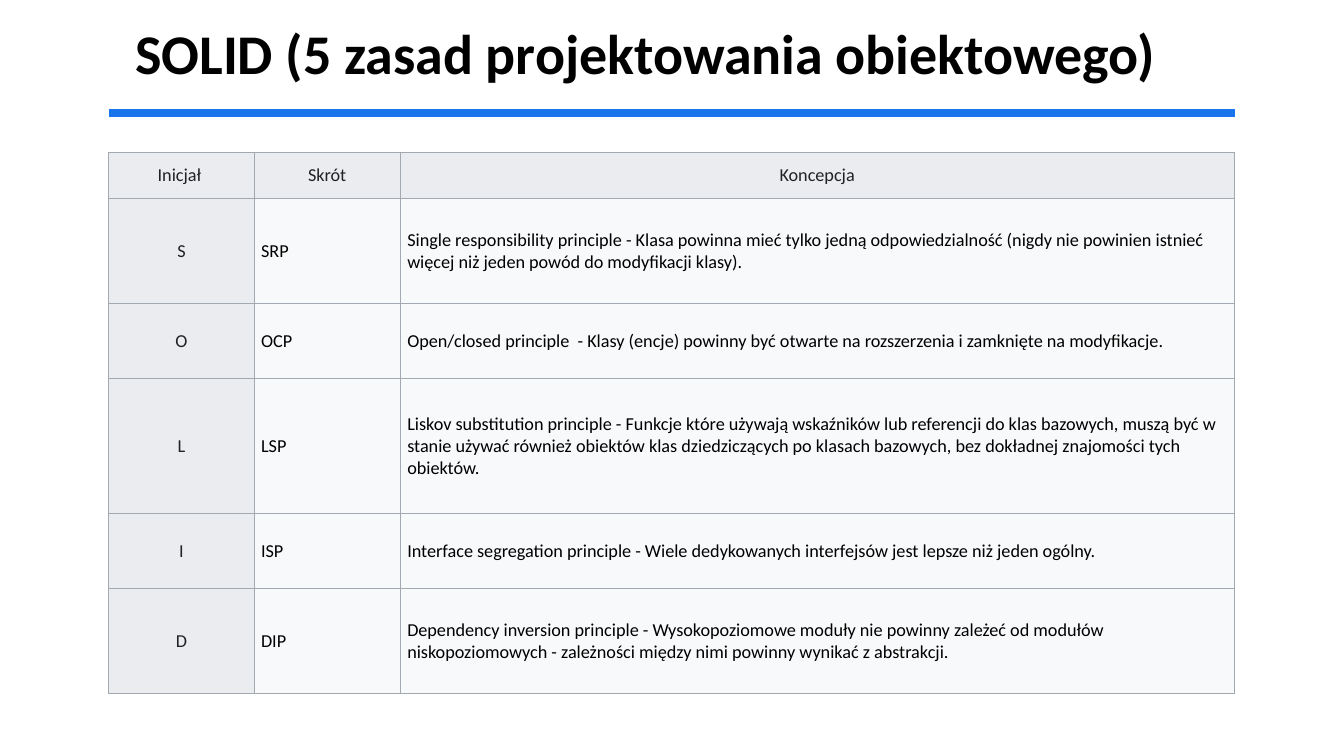
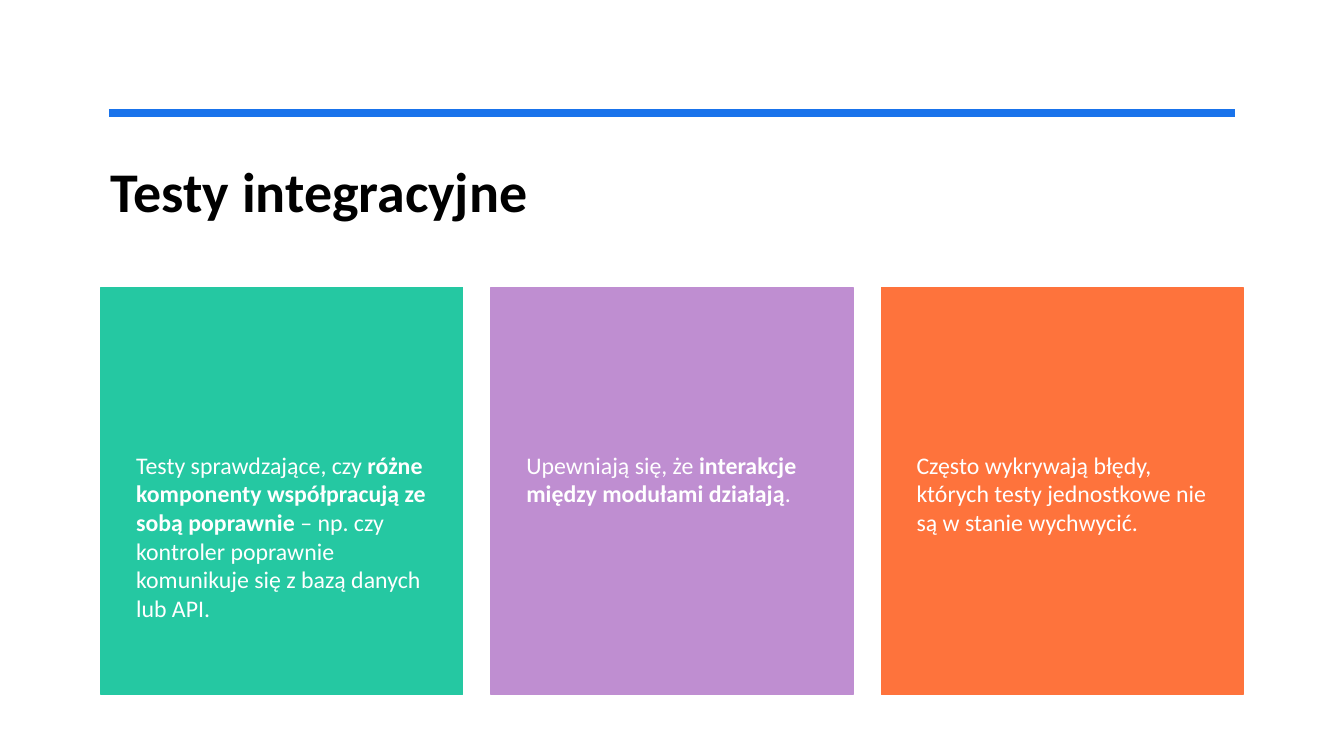
from dataclasses import dataclass, field
from typing import NamedTuple

from lxml.etree import SubElement
from pptx import Presentation
from pptx.dml.color import RGBColor
from pptx.enum.shapes import MSO_CONNECTOR, MSO_SHAPE
from pptx.enum.text import MSO_ANCHOR, PP_ALIGN
from pptx.oxml.ns import qn
from pptx.slide import Slide
from pptx.table import _Cell
from pptx.text.text import _Run
from pptx.util import Emu, Pt

PX = 9144  # EMU per px, 100 px to the inch


@dataclass(frozen=True)
class Theme:
    font: str = "Calibri"
    title_size: int = 40
    table_size: int = 13
    card_size: int = 17
    rule_width: int = 6
    ink: str = "000000"
    header_ink: str = "202122"
    card_ink: str = "FFFFFF"
    rule: str = "1973EB"
    header_fill: str = "EAECF0"
    body_fill: str = "F8F9FA"
    border: str = "A2A9B1"
    cards: tuple[str, ...] = field(default=("25C8A2", "BF8ED1", "FE733C"))


THEME = Theme()


class Box(NamedTuple):
    left: int
    top: int
    width: int
    height: int

    def emu(self) -> list[Emu]:
        return [px(length) for length in self]


class Principle(NamedTuple):
    initial: str
    acronym: str
    concept: str


class Card(NamedTuple):
    lead: str
    key: str = ""
    rest: str = ""


PRINCIPLES = [
    Principle("Inicjał ", "Skrót", "Koncepcja"),
    Principle("S", "SRP", "Single responsibility principle - Klasa powinna mieć tylko jedną odpowiedzialność "
              "(nigdy nie powinien istnieć więcej niż jeden powód do modyfikacji klasy)."),
    Principle("O", "OCP", "Open/closed principle  - Klasy (encje) powinny być otwarte na rozszerzenia "
              "i zamknięte na modyfikacje."),
    Principle("L", "LSP", "Liskov substitution principle - Funkcje które używają wskaźników lub referencji "
              "do klas bazowych, muszą być w stanie używać również obiektów klas dziedziczących "
              "po klasach bazowych, bez dokładnej znajomości tych obiektów."),
    Principle("I", "ISP", "Interface segregation principle - Wiele dedykowanych interfejsów jest lepsze "
              "niż jeden ogólny."),
    Principle("D", "DIP", "Dependency inversion principle - Wysokopoziomowe moduły nie powinny zależeć "
              "od modułów niskopoziomowych - zależności między nimi powinny wynikać z abstrakcji."),
]
COLUMN_WIDTHS = [144, 145, 827]
ROW_HEIGHTS = [46, 104, 75, 133, 75, 104]

CARDS = [
    Card("Testy sprawdzające, czy ", "różne komponenty współpracują ze sobą poprawnie",
         " – np. czy kontroler poprawnie komunikuje się z bazą danych lub API."),
    Card("Upewniają się, że ", "interakcje między modułami działają", "."),
    Card("Często wykrywają błędy, których testy jednostkowe nie są w stanie wychwycić."),
]
CARD_AREA = Box(100, 285, 1133, 404)
CARD_WIDTH = 359
CARD_TEXT_OFFSET = 162


def px(length: int) -> Emu:
    return Emu(length * PX)


def apply(target: object, values: dict[str, object]) -> None:
    for name, value in values.items():
        setattr(target, name, value)


def margins(left: int, top: int, right: int, bottom: int) -> dict[str, object]:
    return {"margin_left": px(left), "margin_top": px(top),
            "margin_right": px(right), "margin_bottom": px(bottom)}


def style_run(run: _Run, size: int, color: str, bold: bool = False) -> None:
    apply(run.font, {"name": THEME.font, "size": Pt(size), "bold": bold})
    run.font.color.rgb = RGBColor.from_string(color)


# Title and rule shared by the slides
def add_titled_slide(deck: Presentation, text: str, box: Box) -> Slide:
    slide = deck.slides.add_slide(deck.slide_layouts[5])
    title = slide.shapes.title
    apply(title, dict(zip(("left", "top", "width", "height"), box.emu())))
    apply(title.text_frame, {"vertical_anchor": MSO_ANCHOR.TOP, "word_wrap": True, **margins(10, 5, 10, 5)})
    heading = title.text_frame.paragraphs[0]
    heading.alignment = PP_ALIGN.LEFT
    run = heading.add_run()
    run.text = text
    style_run(run, THEME.title_size, THEME.ink, bold=True)

    rule = slide.shapes.add_connector(MSO_CONNECTOR.STRAIGHT, px(108), px(112), px(1225), px(112))
    rule.line.width = Pt(THEME.rule_width)
    rule.line.color.rgb = RGBColor.from_string(THEME.rule)
    SubElement(rule._element.spPr, qn("a:effectLst"))
    return slide


# Table of principles
def add_borders(cell: _Cell) -> None:
    properties = cell._tc.get_or_add_tcPr()
    for side in ("a:lnL", "a:lnR", "a:lnT", "a:lnB"):
        edge = SubElement(properties, qn(side), w=str(Pt(0.75)))
        SubElement(SubElement(edge, qn("a:solidFill")), qn("a:srgbClr"), val=THEME.border)


def fill_cell(cell: _Cell, text: str, is_header: bool) -> None:
    add_borders(cell)
    cell.fill.solid()
    cell.fill.fore_color.rgb = RGBColor.from_string(THEME.header_fill if is_header else THEME.body_fill)
    apply(cell, {"vertical_anchor": MSO_ANCHOR.MIDDLE, **margins(7, 4, 7, 4)})
    paragraph = cell.text_frame.paragraphs[0]
    paragraph.alignment = PP_ALIGN.CENTER if is_header else PP_ALIGN.LEFT
    run = paragraph.add_run()
    run.text = text
    style_run(run, THEME.table_size, THEME.header_ink if is_header else THEME.ink)


def add_principles(slide: Slide) -> None:
    area = Box(108, 151, sum(COLUMN_WIDTHS), sum(ROW_HEIGHTS))
    table = slide.shapes.add_table(len(ROW_HEIGHTS), len(COLUMN_WIDTHS), *area.emu()).table
    apply(table, {"first_row": False, "horz_banding": False})
    for column, width in zip(table.columns, COLUMN_WIDTHS):
        column.width = px(width)
    for row, height in zip(table.rows, ROW_HEIGHTS):
        row.height = px(height)
    for row_index, principle in enumerate(PRINCIPLES):
        for column_index, text in enumerate(principle):
            is_header = row_index == 0 or column_index == 0
            fill_cell(table.cell(row_index, column_index), text, is_header)


# Coloured cards in equal columns
def add_card(slide: Slide, card: Card, box: Box, color: str) -> None:
    group = slide.shapes.add_group_shape().shapes
    panel = group.add_shape(MSO_SHAPE.RECTANGLE, *box.emu())
    panel.shadow.inherit = False
    panel.fill.solid()
    panel.fill.fore_color.rgb = panel.line.color.rgb = RGBColor.from_string(color)
    panel.line.width = Pt(1)

    text_box = box._replace(top=box.top + CARD_TEXT_OFFSET, height=box.height - CARD_TEXT_OFFSET)
    frame = group.add_textbox(*text_box.emu()).text_frame
    apply(frame, {"word_wrap": True, "vertical_anchor": MSO_ANCHOR.TOP, **margins(35, 0, 35, 36)})
    for part, text in zip(card._fields, card):
        if text:
            run = frame.paragraphs[0].add_run()
            run.text = text
            style_run(run, THEME.card_size, THEME.card_ink, bold=part == "key")


def add_cards(slide: Slide) -> None:
    step = (CARD_AREA.width - CARD_WIDTH) // (len(CARDS) - 1)
    for index, (card, color) in enumerate(zip(CARDS, THEME.cards)):
        box = CARD_AREA._replace(left=CARD_AREA.left + index * step, width=CARD_WIDTH)
        add_card(slide, card, box, color)


def main() -> None:
    deck = Presentation()
    apply(deck, {"slide_width": px(1333), "slide_height": px(750)})
    add_principles(add_titled_slide(deck, "SOLID (5 zasad projektowania obiektowego)", Box(124, 13, 1133, 125)))
    add_cards(add_titled_slide(deck, "Testy integracyjne", Box(100, 150, 1133, 125)))
    deck.save("out.pptx")


if __name__ == "__main__":
    main()
